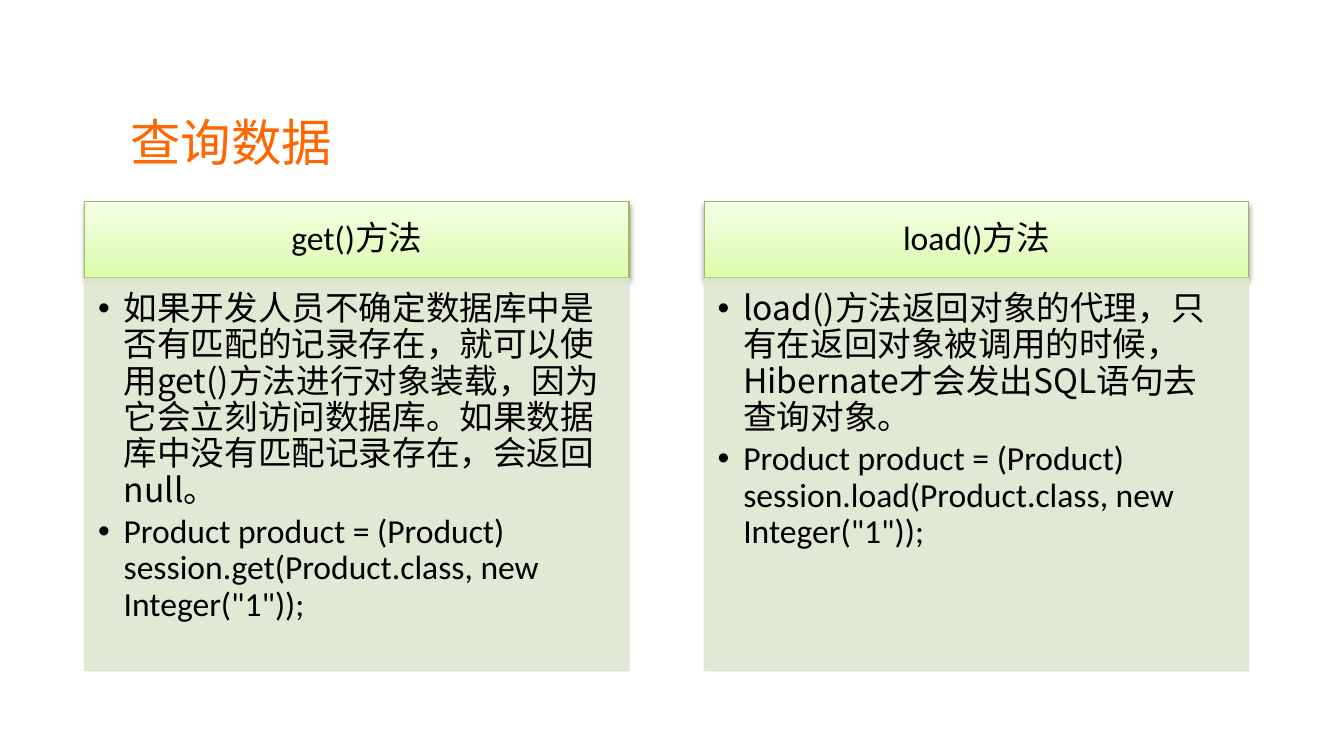
from dataclasses import dataclass

from lxml.etree import SubElement
from pptx import Presentation
from pptx.dml.color import RGBColor
from pptx.enum.text import MSO_ANCHOR as Anchor, MSO_AUTO_SIZE as AutoSize, PP_ALIGN as Align
from pptx.oxml import parse_xml
from pptx.oxml.ns import nsdecls, qn
from pptx.util import Inches, Pt

CJK = "Noto Sans CJK SC"
TOP, WIDTH, HEAD_H, BODY_H = 1.5, 4.05, 0.57, 2.92


@dataclass
class Method:
    name: str
    left: float
    description: str
    code: str


METHODS = [
    Method("get()方法", 0.63,
           "如果开发人员不确定数据库中是否有匹配的记录存在，就可以使用get()方法进行对象装载，"
           "因为它会立刻访问数据库。如果数据库中没有匹配记录存在，会返回null。",
           'Product product = (Product) session.get(Product.class, new Integer("1"));'),
    Method("load()方法", 5.24,
           "load()方法返回对象的代理，只有在返回对象被调用的时候，Hibernate才会发出SQL语句去查询对象。",
           'Product product = (Product) session.load(Product.class, new Integer("1"));'),
]


def rgb(value: str) -> RGBColor:
    return RGBColor.from_string(value)


def place(sp, left: float, top: float, width: float, height: float, insets, anchor):
    """Position a placeholder and set up its text frame."""
    sp.left, sp.top, sp.width, sp.height = map(Inches, (left, top, width, height))
    tf = sp.text_frame
    tf.auto_size, tf.word_wrap, tf.vertical_anchor = AutoSize.NONE, True, anchor
    tf.margin_left, tf.margin_top, tf.margin_right, tf.margin_bottom = map(Inches, insets)
    return tf


def write(p, text: str, size=18, font="Calibri", color="000000", align=Align.LEFT,
          spacing=0.9, after=0, bullet=False):
    p.alignment, p.line_spacing = align, spacing
    p.space_before, p.space_after = Pt(0), Pt(after)
    if bullet:
        pPr = p._p.get_or_add_pPr()
        pPr.set("marL", str(Inches(0.19)))
        pPr.set("indent", str(-Inches(0.19)))
        SubElement(pPr, qn("a:buChar"), char="•")
    r = p.add_run()
    r.text = text
    r.font.size, r.font.name, r.font.bold = Pt(size), font, False
    r.font.color.rgb = rgb(color)
    SubElement(r._r.get_or_add_rPr(), qn("a:ea"), typeface=CJK)


def outline(sp, color: str):
    sp.line.color.rgb = rgb(color)
    sp.line.width = Pt(0.75)


def set_alpha(fill_format, percent: int):
    color = fill_format._xPr.find(qn("a:solidFill"))[0]
    SubElement(color, qn("a:alpha"), val=str(percent * 1000))


def style_header(sp):
    """Green gradient, darker at the bottom, with a soft shadow."""
    stops = "".join(f'<a:gs pos="{pos * 1000}"><a:srgbClr val="{color}"/></a:gs>'
                    for pos, color in ((0, "DAFDA7"), (35, "E4FCC2"), (100, "F5FFE7")))
    spPr = sp._element.spPr
    spPr.append(parse_xml(f'<a:gradFill {nsdecls("a")} rotWithShape="1"><a:gsLst>{stops}</a:gsLst>'
                          '<a:lin ang="16200000" scaled="0"/></a:gradFill>'))
    outline(sp, "9BBB59")
    spPr.append(parse_xml(
        f'<a:effectLst {nsdecls("a")}><a:outerShdw blurRad="{Pt(3.1)}" dist="{Pt(1.6)}" '
        'dir="5400000" rotWithShape="0"><a:srgbClr val="000000"><a:alpha val="38000"/>'
        '</a:srgbClr></a:outerShdw></a:effectLst>'))


def style_body(sp):
    sp.fill.solid()
    sp.fill.fore_color.rgb = rgb("DEE7D1")
    set_alpha(sp.fill, 90)
    outline(sp, "DEE7D1")
    set_alpha(sp.line.fill, 90)


def draw_method(header, body, method: Method):
    tf = place(header, method.left, TOP, WIDTH, HEAD_H, (0.14, 0.08, 0.14, 0.08), Anchor.MIDDLE)
    style_header(header)
    write(tf.paragraphs[0], method.name, align=Align.CENTER)

    tf = place(body, method.left, TOP + HEAD_H, WIDTH, BODY_H, (0.1, 0.1, 0.14, 0.16), Anchor.TOP)
    style_body(body)
    write(tf.paragraphs[0], method.description, font=CJK, after=2.7, bullet=True)
    write(tf.add_paragraph(), method.code, after=2.7, bullet=True)


def main():
    prs = Presentation()
    prs.slide_width = Inches(10)
    prs.slide_height = prs.slide_width * 9 // 16
    s = prs.slides.add_slide(prs.slide_layouts.get_by_name("Comparison"))
    title, *boxes = s.placeholders
    tf = place(title, 0.9, 0.67, 8.32, 0.77, (0.07, 0.04, 0.07, 0.04), Anchor.MIDDLE)
    write(tf.paragraphs[0], "查询数据", size=27, font="Arial", color="FF6600", spacing=1.0)
    for header, body, method in zip(boxes[::2], boxes[1::2], METHODS):
        draw_method(header, body, method)
    prs.save("out.pptx")


if __name__ == "__main__":
    main()
